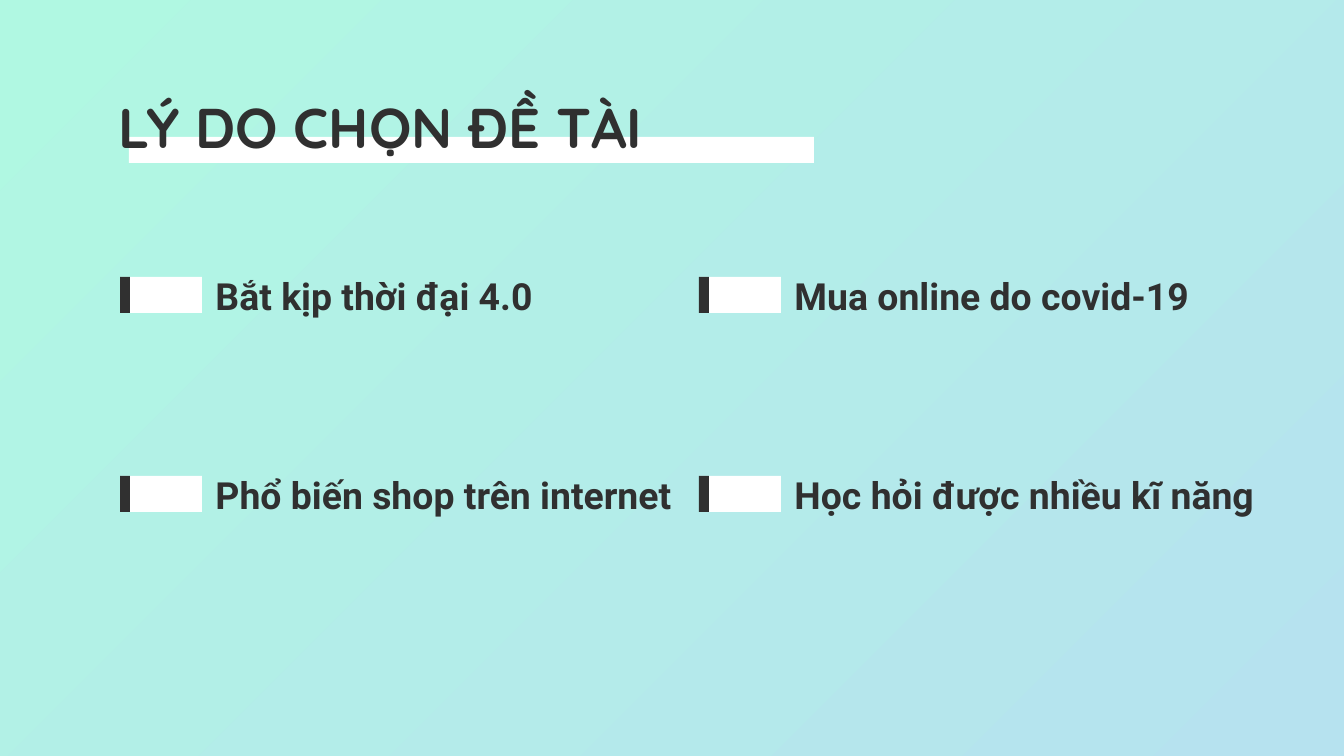
"""Build the slide that lists four reasons for choosing the topic."""
from dataclasses import dataclass

from lxml import etree
from pptx import Presentation
from pptx.dml.color import RGBColor
from pptx.enum.shapes import MSO_SHAPE
from pptx.enum.text import MSO_ANCHOR, MSO_AUTO_SIZE, PP_ALIGN
from pptx.oxml.ns import qn
from pptx.util import Emu, Inches, Pt

RECT = MSO_SHAPE.RECTANGLE
TOP, MIDDLE = MSO_ANCHOR.TOP, MSO_ANCHOR.MIDDLE
LEFT = PP_ALIGN.LEFT
NO_FIT = MSO_AUTO_SIZE.NONE
SCALE = 914400 / 134.4
COMPARISON = 4


@dataclass(frozen=True)
class Theme:
    """Colours, fonts and type sizes."""
    ink: str = "303030"
    white: str = "FFFFFF"
    mint: str = "B0F8E2"
    sky: str = "B6E2EF"
    title_font: str = "Quicksand"
    item_font: str = "Roboto"
    title_size: int = 30
    item_size: int = 20


def px(n):
    """Turn pixels into EMU."""
    return Emu(round(n * SCALE))


class Deck:
    """Hold the theme and the current slide."""

    def __init__(self, prs, theme):
        """Add a slide to the presentation."""
        self.theme = theme
        self.s = prs.slides.add_slide(prs.slide_layouts[COMPARISON])

    def background(self):
        """Fill the slide with a diagonal gradient."""
        fill = self.s.background.fill
        fill.gradient()
        fill.gradient_angle = 315
        colors = (self.theme.mint, self.theme.sky)
        for i, (stop, color) in enumerate(zip(fill.gradient_stops, colors)):
            stop.position = i
            stop.color.rgb = RGBColor.from_string(color)

    def rect(self, shapes, x, y, w, h, color):
        """Add a plain rectangle to a slide or group."""
        sp = shapes.add_shape(RECT, px(x), px(y), px(w), px(h))
        sp.shadow.inherit = False
        sp.fill.solid()
        sp.fill.fore_color.rgb = RGBColor.from_string(color)
        sp.line.fill.background()
        return sp

    def underline(self, x, y, w, h):
        """Add a white bar behind all text."""
        el = self.rect(self.s.shapes, x, y, w, h, self.theme.white)._element
        el.getparent().insert(2, el)

    def marker(self, x, y):
        """Add a white block with a dark left edge."""
        shapes = self.s.shapes.add_group_shape().shapes
        self.rect(shapes, x + 1, y, 81, 36, self.theme.white)
        self.rect(shapes, x, y, 10, 36, self.theme.ink)

    def text(self, idx, text, x, y, w, h, font, size, anchor):
        """Place and format one template placeholder."""
        sp = self.s.placeholders[idx]
        sp.left, sp.top, sp.width, sp.height = map(px, (x, y, w, h))
        tf = sp.text_frame
        tf.auto_size = NO_FIT
        tf.word_wrap = True
        tf.vertical_anchor = anchor
        tf.margin_left = tf.margin_right = Inches(0.1)
        tf.margin_top = tf.margin_bottom = Inches(0.1)
        p = tf.paragraphs[0]
        p.alignment = LEFT
        p.line_spacing = 1.0
        p.space_before = p.space_after = Pt(0)
        pPr = p._p.get_or_add_pPr()
        pPr.set("marL", "0")
        pPr.set("indent", "0")
        etree.SubElement(pPr, qn("a:buNone"))
        r = p.add_run()
        r.text = text
        r.font.name = font
        r.font.size = Pt(size)
        r.font.bold = True
        r.font.color.rgb = RGBColor.from_string(self.theme.ink)

    def title(self, text, x, y, w, h):
        """Fill the title placeholder."""
        t = self.theme
        self.text(0, text, x, y, w, h, t.title_font, t.title_size, TOP)

    def item(self, idx, text, x, y, w):
        """Add a marker with its reason to the right."""
        t = self.theme
        self.marker(x, y)
        self.text(idx, text, x + 82, y - 11, w, 60, t.item_font, t.item_size, MIDDLE)


def main():
    """Build and save the slide."""
    prs = Presentation()
    prs.slide_width, prs.slide_height = px(1344), px(756)
    deck = Deck(prs, Theme())
    deck.background()
    deck.underline(129, 137, 685, 26)
    deck.title("LÝ DO CHỌN ĐỀ TÀI", 105, 79, 762, 101)
    reasons = [
        ("Bắt kịp thời đại 4.0", 402),
        ("Mua online do covid-19", 516),
        ("Phổ biến shop trên internet", 595),
        ("Học hỏi được nhiều kĩ năng", 563),
    ]
    for i, (text, w) in enumerate(reasons):
        row, col = divmod(i, 2)
        deck.item(i + 1, text, 120 + col * 579, 277 + row * 199, w)
    prs.save("out.pptx")


if __name__ == "__main__":
    main()
